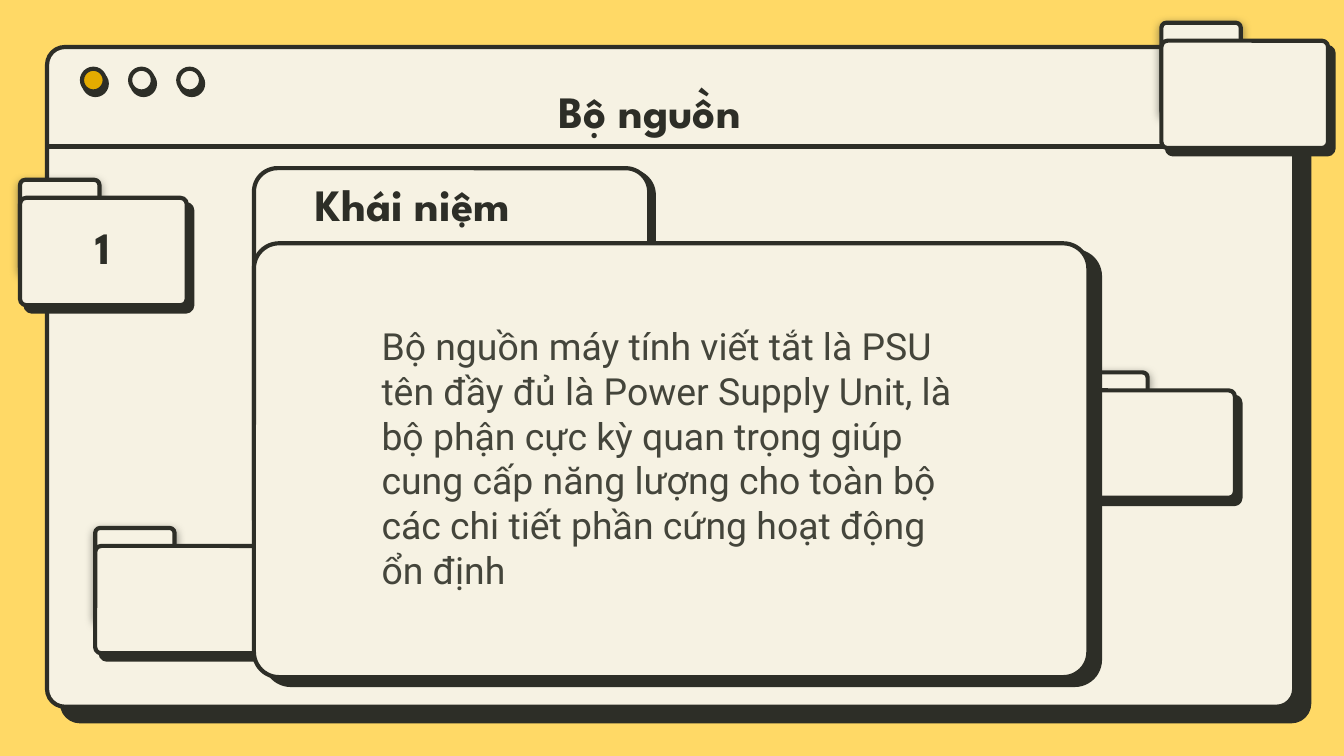
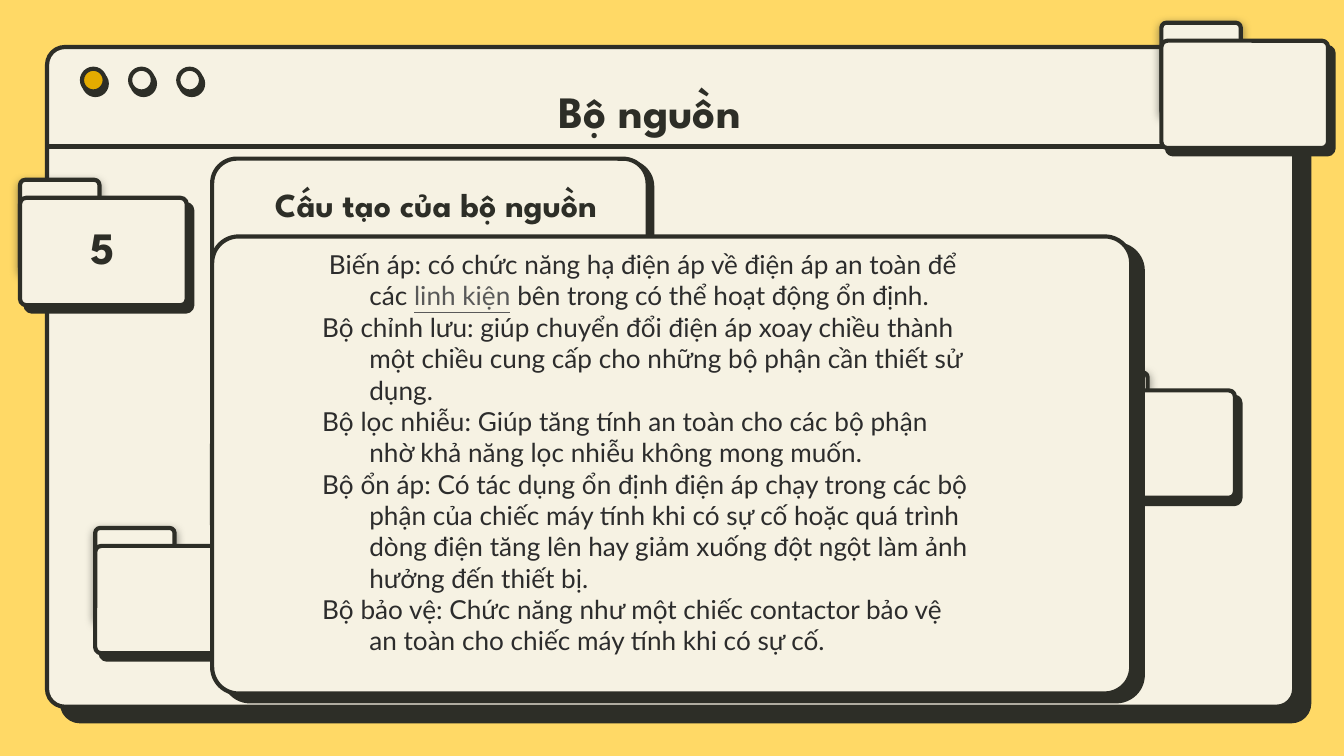
"""Build two slides about the computer power supply, styled as a desktop window."""
from lxml.etree import SubElement
from pptx import Presentation
from pptx.dml.color import RGBColor
from pptx.enum.shapes import MSO_CONNECTOR, MSO_SHAPE
from pptx.enum.text import MSO_ANCHOR, MSO_AUTO_SIZE, PP_ALIGN
from pptx.oxml.ns import qn
from pptx.util import Cm, Pt

YELLOW = RGBColor(0xFF, 0xD9, 0x66)
CREAM = RGBColor(0xF6, 0xF2, 0xE3)
AMBER = RGBColor(0xE4, 0xAB, 0x00)
INK = RGBColor(0x2D, 0x2E, 0x27)
OLIVE = RGBColor(0x44, 0x45, 0x3B)
CHARCOAL = RGBColor(0x2C, 0x2C, 0x2C)
GREY = RGBColor(0x59, 0x59, 0x59)
HEAD_FONT = "League Spartan"
FOLDERS = [(0.38, 3.4), (21.95, 0.43), (20.19, 7.04), (1.8, 9.98)]

SLIDES = [
    dict(number="1", heading="Khái niệm ", heading_size=24,
         heading_at=(4.19, 3.12, 7.44, 1.47),
         tab_at=(4.8, 3.18, 7.47, 7.04), card_at=(4.8, 4.6, 15.77, 8.2),
         body_at=(6.96, 6.25, 11.51, 4.8),
         body_format=dict(size=20, font="Roboto", color=OLIVE),
         body=["Bộ nguồn máy tính viết tắt là PSU tên đầy đủ là Power Supply Unit, "
               "là bộ phận cực kỳ quan trọng giúp cung cấp năng lượng cho toàn bộ "
               "các chi tiết phần cứng hoạt động ổn định"]),
    dict(number="5", heading="Cấu tạo của bộ nguồn", heading_size=18,
         heading_at=(4.01, 3.12, 8.46, 1.47),
         tab_at=(4.01, 3, 8.23, 7.39), card_at=(4.01, 4.47, 17.37, 8.64),
         body_at=(5.46, 6.25, 13.13, 5.79),
         body_format=dict(size=14, font="Lato", color=CHARCOAL, hanging=True, bottom=1.44),
         body=[" Biến áp: có chức năng hạ điện áp về điện áp an toàn để các "
               "|linh kiện| bên trong có thể hoạt động ổn định.",
               "Bộ chỉnh lưu: giúp chuyển đổi điện áp xoay chiều thành một chiều "
               "cung cấp cho những bộ phận cần thiết sử dụng.",
               "Bộ lọc nhiễu: Giúp tăng tính an toàn cho các bộ phận nhờ khả năng "
               "lọc nhiễu không mong muốn.",
               "Bộ ổn áp: Có tác dụng ổn định điện áp chạy trong các bộ phận của "
               "chiếc máy tính khi có sự cố hoặc quá trình dòng điện tăng lên hay "
               "giảm xuống đột ngột làm ảnh hưởng đến thiết bị.",
               "Bộ bảo vệ: Chức năng như một chiếc contactor bảo vệ an toàn cho "
               "chiếc máy tính khi có sự cố."]),
]


def draw(shapes, at, dist, angle, adj=None, fill=CREAM, alpha=100, blur=0):
    """Add an outlined shape with an offset shadow; no adj means an ellipse."""
    kind = MSO_SHAPE.OVAL if adj is None else MSO_SHAPE.ROUNDED_RECTANGLE
    sp = shapes.add_shape(kind, *map(Cm, at))
    if adj is not None:
        sp.adjustments[0] = adj
    sp.fill.solid()
    sp.fill.fore_color.rgb = fill
    sp.line.color.rgb = INK
    sp.line.width = Pt(2.25)
    sp.shadow.inherit = False
    effects = sp._element.spPr.find(qn("a:effectLst"))
    shadow = SubElement(effects, qn("a:outerShdw"), blurRad=str(Pt(blur)), dist=str(Pt(dist)),
                        dir=str(angle * 60000), algn="bl", rotWithShape="0")
    color = SubElement(shadow, qn("a:srgbClr"), val=str(INK))
    SubElement(color, qn("a:alpha"), val=str(alpha * 1000))


def write(sp, at, paragraphs, size=24, font=HEAD_FONT, color=INK, bold=False,
          align=PP_ALIGN.LEFT, anchor=MSO_ANCHOR.MIDDLE, hanging=False, bottom=0.25):
    """Place a text shape and fill it; text between bars is underlined in grey."""
    sp.left, sp.top, sp.width, sp.height = map(Cm, at)
    tf = sp.text_frame
    tf.word_wrap = True
    tf.auto_size = MSO_AUTO_SIZE.NONE
    tf.vertical_anchor = anchor
    tf.margin_left = tf.margin_right = tf.margin_top = Cm(0.25)
    tf.margin_bottom = Cm(bottom)
    for i, text in enumerate(paragraphs):
        p = tf.add_paragraph() if i else tf.paragraphs[0]
        p.alignment = align
        p.space_before = Pt(0)
        pPr = p._p.get_or_add_pPr()
        pPr.set("marL", str(Cm(1.27) if hanging else 0))
        pPr.set("indent", str(Cm(-0.89) if hanging else 0))
        for j, part in enumerate(text.split("|")):
            marked = j % 2 == 1
            r = p.add_run()
            r.text = part
            r.font.size = Pt(size)
            r.font.name = font
            r.font.bold = bold
            r.font.underline = marked
            r.font.color.rgb = GREY if marked else color


prs = Presentation()
prs.slide_width, prs.slide_height = Cm(25.4), Cm(14.29)
prs.slide_master.background.fill.solid()
prs.slide_master.background.fill.fore_color.rgb = YELLOW
head = dict(bold=True, align=PP_ALIGN.CENTER)

for data in SLIDES:
    s = prs.slides.add_slide(prs.slide_layouts[0])
    title, body = s.placeholders

    window = s.shapes.add_group_shape().shapes
    draw(window, (0.89, 0.89, 23.57, 12.47), 11.2, 44, adj=0.027)
    bar = window.add_connector(MSO_CONNECTOR.STRAIGHT, Cm(24.49), Cm(2.77), Cm(0.91), Cm(2.77))
    bar.line.color.rgb = INK
    bar.line.width = Pt(2.25)
    SubElement(bar._element.spPr, qn("a:effectLst"))
    for i, fill in enumerate([AMBER, CREAM, CREAM]):
        draw(window, (1.55 + 0.91 * i, 1.3, 0.43, 0.43), 2.2, 60, fill=fill)

    for x, y in FOLDERS:
        folder = s.shapes.add_group_shape().shapes
        draw(folder, (x, y, 1.5, 1.75), 1.5, 90, adj=0.063, alpha=50, blur=4.5)
        draw(folder, (x, y + 0.34, 3.15, 2.03), 4.5, 49, adj=0.058)

    card = s.shapes.add_group_shape().shapes
    draw(card, data["tab_at"], 3, 34, adj=0.063)
    draw(card, data["card_at"], 7.5, 34, adj=0.058)

    for sp in (title, body):
        s.shapes._spTree.append(sp._element)
    write(title, (8.56, 1.35, 7.44, 1.47), [" Bộ nguồn "], **head)
    write(body, data["body_at"], data["body"], **data["body_format"])
    number = s.shapes.add_textbox(0, 0, 0, 0)
    write(number, (-0.74, 3.91, 5.36, 1.55), [data["number"]], anchor=MSO_ANCHOR.TOP, **head)
    heading = s.shapes.add_textbox(0, 0, 0, 0)
    write(heading, data["heading_at"], [data["heading"]], size=data["heading_size"], **head)

prs.save("out.pptx")
